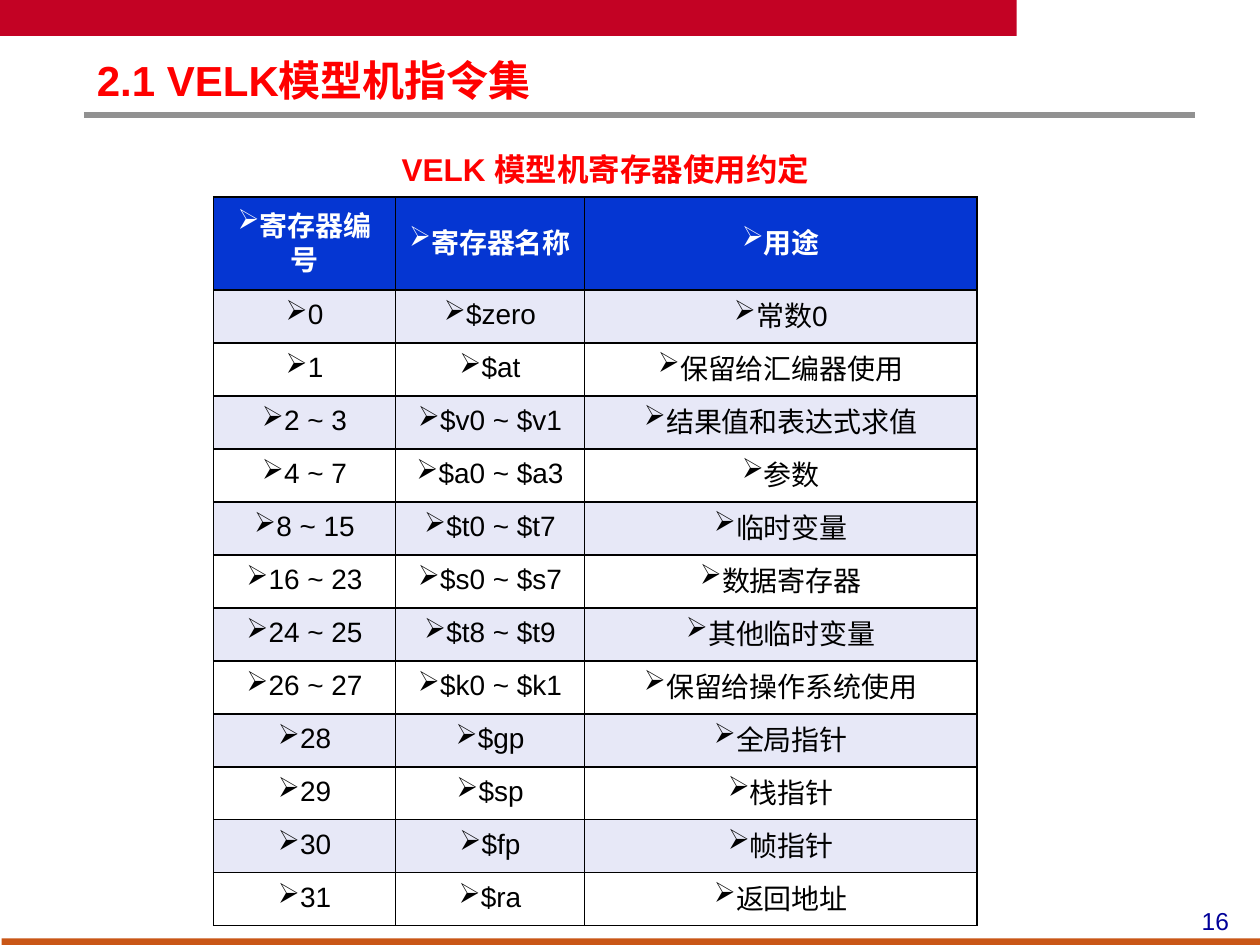
from lxml import etree
from pptx import Presentation
from pptx.dml.color import RGBColor
from pptx.enum import shapes, text
from pptx.oxml import ns
from pptx.util import Pt

FONT = "Arial"
BLACK = RGBColor(0x00, 0x00, 0x00)
WHITE = RGBColor(0xFF, 0xFF, 0xFF)
RED = RGBColor(0xFF, 0x00, 0x00)
CRIMSON = RGBColor(0xC3, 0x02, 0x24)
GRAY = RGBColor(0x91, 0x91, 0x91)
ORANGE = RGBColor(0xC9, 0x56, 0x16)
NAVY = RGBColor(0x00, 0x00, 0x99)
BLUE = RGBColor(0x05, 0x36, 0xD2)
LAVENDER = RGBColor(0xE7, 0xE8, 0xF7)

REGISTERS = [
    ("寄存器编号", "寄存器名称", "用途"),
    ("0", "$zero", "常数0"),
    ("1", "$at", "保留给汇编器使用"),
    ("2 ~ 3", "$v0 ~ $v1", "结果值和表达式求值"),
    ("4 ~ 7", "$a0 ~ $a3", "参数"),
    ("8 ~ 15", "$t0 ~ $t7", "临时变量"),
    ("16 ~ 23", "$s0 ~ $s7", "数据寄存器"),
    ("24 ~ 25", "$t8 ~ $t9", "其他临时变量"),
    ("26 ~ 27", "$k0 ~ $k1", "保留给操作系统使用"),
    ("28", "$gp", "全局指针"),
    ("29", "$sp", "栈指针"),
    ("30", "$fp", "帧指针"),
    ("31", "$ra", "返回地址"),
]


def add_child(parent, tag, **attrs):
    """Append a DrawingML element and return it."""
    return etree.SubElement(parent, ns.qn(tag), attrs)


def set_font(p, size, color, bold=False):
    """Format a whole paragraph."""
    f = p.font
    f.name, f.size, f.bold = FONT, Pt(size), bold
    f.color.rgb = color


def set_bullet(p, char=None):
    """Give a paragraph an unindented bullet, or none."""
    pPr = p._p.get_or_add_pPr()
    pPr.set("marL", "0")
    pPr.set("indent", "0")
    bullet = etree.Element(ns.qn("a:buChar" if char else "a:buNone"))
    if char:
        bullet.set("char", char)
    pPr.insert_element_before(bullet, "a:tabLst", "a:defRPr", "a:extLst")


def add_bar(s, x, y, w, h, color):
    """Add a plain filled bar."""
    sp = s.shapes.add_shape(shapes.MSO_SHAPE.RECTANGLE, Pt(x), Pt(y), Pt(w), Pt(h))
    sp.shadow.inherit = False
    sp.fill.solid()
    sp.fill.fore_color.rgb = color
    sp.line.fill.background()


def add_frame(s, x, y, w, h):
    """Add the bars, heading rule and page number in the page box."""
    add_bar(s, x, y, 581, 20.5, CRIMSON)
    rule = s.shapes.add_connector(
        shapes.MSO_CONNECTOR.STRAIGHT, Pt(x + 48), Pt(y + 65.7), Pt(x + 683), Pt(y + 65.7))
    rule.line.color.rgb = GRAY
    rule.line.width = Pt(3)
    add_child(rule._element.spPr, "a:effectLst")
    add_bar(s, x + 1, y + h - 3.8, w, 5.5, ORANGE)
    tf = s.shapes.add_textbox(Pt(x + w - 48), Pt(y + h - 26), Pt(45), Pt(24)).text_frame
    tf.word_wrap = True
    p = tf.paragraphs[0]
    p.text = "16"
    p.alignment = text.PP_ALIGN.CENTER
    set_font(p, 14, NAVY)


def fill_placeholder(sp, x, y, w, h, words, size, align):
    """Place a heading placeholder in its box and write it."""
    sp.left, sp.top, sp.width, sp.height = Pt(x), Pt(y), Pt(w), Pt(h)
    tf = sp.text_frame
    tf.word_wrap = True
    tf.auto_size = text.MSO_AUTO_SIZE.NONE
    tf.vertical_anchor = text.MSO_ANCHOR.MIDDLE
    tf.margin_left = tf.margin_right = Pt(5)
    tf.margin_top = tf.margin_bottom = Pt(2.5)
    p = tf.paragraphs[0]
    p.text = words
    p.alignment = align
    p.space_before = Pt(0)
    set_bullet(p)
    set_font(p, size, RED, True)


def fill_cell(cell, words, fill, color, bold):
    """Write one bordered, bulleted table cell."""
    tcPr = cell._tc.get_or_add_tcPr()
    for side in ("a:lnL", "a:lnR", "a:lnT", "a:lnB"):
        ln = add_child(tcPr, side, w=str(Pt(1)))
        add_child(add_child(ln, "a:solidFill"), "a:srgbClr", val=str(BLACK))
    cell.fill.solid()
    cell.fill.fore_color.rgb = fill
    cell.vertical_anchor = text.MSO_ANCHOR.MIDDLE
    p = cell.text_frame.paragraphs[0]
    p.text = words
    p.alignment = text.PP_ALIGN.CENTER
    p.line_spacing = 0.85
    p.space_before = Pt(6.4)
    set_bullet(p, "➢")
    set_font(p, 16, color, bold)


def add_register_table(s, x, y, widths, head_h, row_h):
    """Add the register table with its corner at x, y."""
    n = len(REGISTERS)
    tbl = s.shapes.add_table(
        n, len(widths), Pt(x), Pt(y), Pt(sum(widths)), Pt(head_h + (n - 1) * row_h)).table
    for col, w in zip(tbl.columns, widths):
        col.width = Pt(w)
    for i, words in enumerate(REGISTERS):
        head = i == 0
        tbl.rows[i].height = Pt(head_h if head else row_h)
        fill = BLUE if head else LAVENDER if i % 2 else WHITE
        for j, word in enumerate(words):
            fill_cell(tbl.cell(i, j), word, fill, WHITE if head else BLACK, head)


def main():
    """Build the register convention slide."""
    prs = Presentation()
    prs.slide_width, prs.slide_height = Pt(720), Pt(540)
    s = prs.slides.add_slide(prs.slide_layouts[1])
    add_frame(s, 0, 0, 720, 540)
    fill_placeholder(s.shapes.title, 50.4, 31, 558, 29.5,
                     "2.1 VELK模型机指令集", 24, text.PP_ALIGN.LEFT)
    fill_placeholder(s.placeholders[1], 156, 82.5, 380, 28,
                     "VELK 模型机寄存器使用约定", 18, text.PP_ALIGN.CENTER)
    add_register_table(s, 122, 112.5, (104, 108, 224.4), 53.2, 30.28)
    prs.save("out.pptx")


if __name__ == "__main__":
    main()
